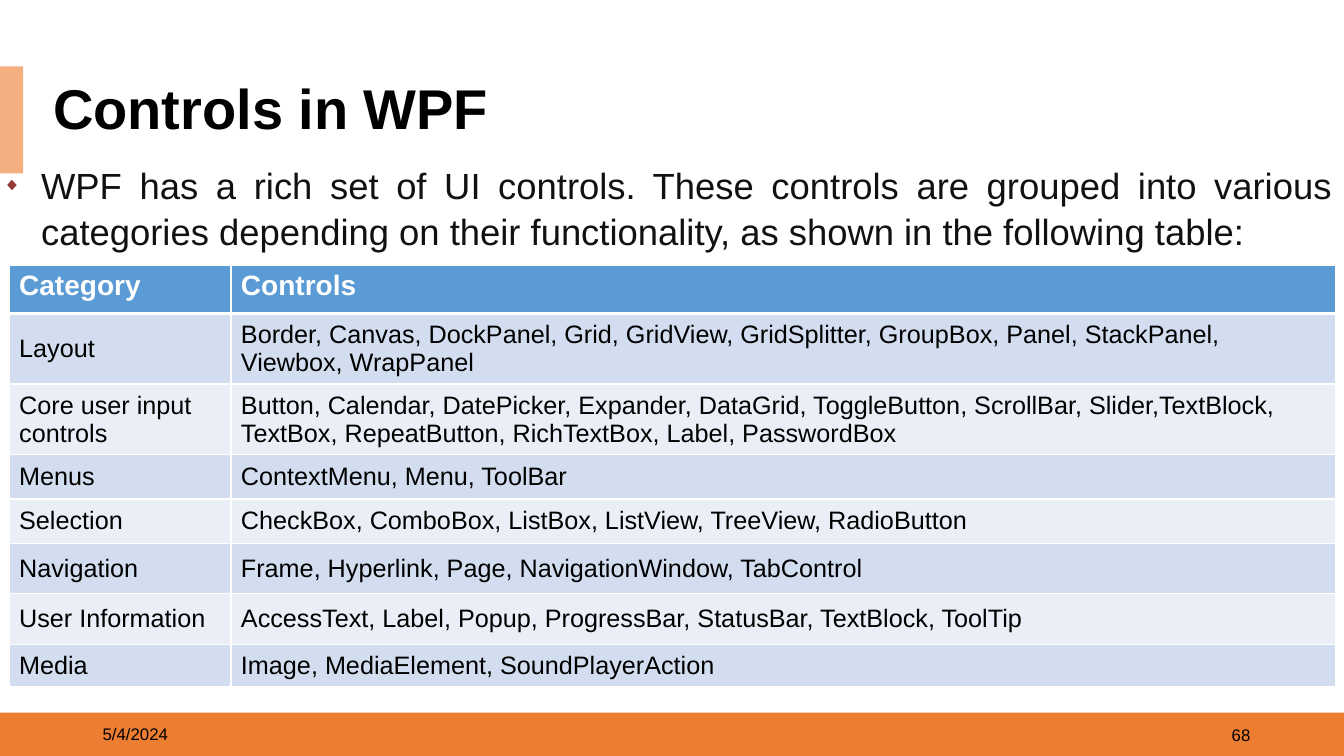
from lxml.etree import SubElement
from pptx import Presentation
from pptx.dml.color import RGBColor
from pptx.enum.shapes import MSO_SHAPE
from pptx.enum.text import MSO_ANCHOR, PP_ALIGN
from pptx.oxml.ns import qn
from pptx.util import Inches, Pt

FONT = "Arial"
WHITE = RGBColor(0xFF, 0xFF, 0xFF)
BLACK = RGBColor(0x00, 0x00, 0x00)
BODY = RGBColor(0x11, 0x11, 0x11)
BULLET = RGBColor(0x97, 0x37, 0x35)
ORANGE = RGBColor(0xED, 0x7D, 0x31)
LIGHT_ORANGE = RGBColor(0xF4, 0xAF, 0x80)
HEADER = RGBColor(0x5B, 0x9B, 0xD5)
BANDS = (RGBColor(0xD2, 0xDE, 0xEF), RGBColor(0xEA, 0xEF, 0xF7))

COLUMN_WIDTHS = (2.2, 10.96)
ROW_HEIGHTS = (0.48, 0.7, 0.7, 0.44, 0.44, 0.5, 0.5, 0.42)
CONTROLS = (
    ("Category", "Controls"),
    ("Layout", "Border, Canvas, DockPanel, Grid, GridView, GridSplitter, "
               "GroupBox, Panel, StackPanel, Viewbox, WrapPanel"),
    ("Core user input controls",
     "Button, Calendar, DatePicker, Expander, DataGrid, ToggleButton, "
     "ScrollBar, Slider,TextBlock, TextBox, RepeatButton, RichTextBox, "
     "Label, PasswordBox"),
    ("Menus", "ContextMenu, Menu, ToolBar"),
    ("Selection", "CheckBox, ComboBox, ListBox, ListView, TreeView, RadioButton"),
    ("Navigation", "Frame, Hyperlink, Page, NavigationWindow, TabControl"),
    ("User Information",
     "AccessText, Label, Popup, ProgressBar, StatusBar, TextBlock, ToolTip"),
    ("Media", "Image, MediaElement, SoundPlayerAction"),
)


def write_text(text_frame, text, size, color, bold=False):
    text_frame.text = text
    paragraph = text_frame.paragraphs[0]
    font = paragraph.runs[0].font
    font.name, font.size, font.bold = FONT, Pt(size), bold
    font.color.rgb = color
    return paragraph


def add_text(slide, box, text, size, color, bold=False, anchor=MSO_ANCHOR.MIDDLE):
    shape = slide.shapes.add_textbox(*map(Inches, box))
    text_frame = shape.text_frame
    text_frame.word_wrap = True
    text_frame.vertical_anchor = anchor
    return write_text(text_frame, text, size, color, bold)


def add_block(slide, box, color):
    shape = slide.shapes.add_shape(MSO_SHAPE.RECTANGLE, *map(Inches, box))
    shape.shadow.inherit = False
    shape.fill.solid()
    shape.fill.fore_color.rgb = color
    shape.line.fill.background()


def add_footer(slide, left, top, width, height):
    add_block(slide, (left, top, width, height), ORANGE)
    add_text(slide, (left + 0.92, top + 0.01, 3, 0.4), "5/4/2024", 12, BLACK)
    number = add_text(slide, (left + 9.5, top + 0.02, 3, 0.4), "68", 12, BLACK)
    number.alignment = PP_ALIGN.RIGHT


def add_title(slide, left, top, width, height):
    add_block(slide, (left, top, 0.23, height), LIGHT_ORANGE)
    title = add_text(slide, (left + 0.43, top + 0.13, width - 1.13, 0.63),
                     "Controls in WPF", 40, BLACK, bold=True)
    title.line_spacing = 0.9


def add_introduction(slide, left, top, width, height):
    paragraph = add_text(
        slide, (left, top, width, height),
        "WPF has a rich set of UI controls. These controls are grouped into various "
        "categories depending on their functionality, as shown in the following table:",
        26, BODY, anchor=MSO_ANCHOR.TOP)
    paragraph.alignment = PP_ALIGN.JUSTIFY
    paragraph.line_spacing = 1.05
    properties = paragraph._p.get_or_add_pPr()
    properties.set("marL", str(Inches(0.38)))
    properties.set("indent", str(Inches(-0.38)))
    bullet_color = SubElement(properties, qn("a:buClr"))
    SubElement(bullet_color, qn("a:srgbClr"), val=str(BULLET))
    SubElement(properties, qn("a:buSzPct"), val="50000")
    SubElement(properties, qn("a:buFont"), typeface=FONT)
    SubElement(properties, qn("a:buChar"), char="◆")


def set_borders(cell, bottom_width):
    properties = cell._tc.get_or_add_tcPr()
    widths = {"a:lnL": 1, "a:lnR": 1, "a:lnT": 1, "a:lnB": bottom_width}
    for position, (tag, width) in enumerate(widths.items()):
        line = SubElement(properties, qn(tag), w=str(Pt(width)))
        fill = SubElement(line, qn("a:solidFill"))
        SubElement(fill, qn("a:srgbClr"), val=str(WHITE))
        properties.insert(position, line)


def add_controls_table(slide, left, top, width, height):
    table = slide.shapes.add_table(
        len(CONTROLS), len(COLUMN_WIDTHS),
        *map(Inches, (left, top, width, height))).table
    for column, column_width in zip(table.columns, COLUMN_WIDTHS):
        column.width = Inches(column_width)
    for index, (row, texts) in enumerate(zip(table.rows, CONTROLS)):
        row.height = Inches(ROW_HEIGHTS[index])
        header = index == 0
        for cell, text in zip(row.cells, texts):
            cell.fill.solid()
            cell.fill.fore_color.rgb = HEADER if header else BANDS[(index - 1) % 2]
            cell.vertical_anchor = MSO_ANCHOR.TOP if header else MSO_ANCHOR.MIDDLE
            write_text(cell.text_frame, text, 20 if header else 18,
                       WHITE if header else BLACK, header)
            set_borders(cell, 3 if header else 1)


def main():
    presentation = Presentation()
    presentation.slide_width = Inches(13.33)
    presentation.slide_height = Inches(7.5)
    slide = presentation.slides.add_slide(presentation.slide_layouts[6])
    add_footer(slide, 0, 7.07, 13.33, 0.43)
    add_title(slide, 0, 0.66, 13.33, 1.06)
    add_introduction(slide, -0.07, 1.55, 13.4, 0.98)
    add_controls_table(slide, 0.09, 2.63, sum(COLUMN_WIDTHS), sum(ROW_HEIGHTS))
    presentation.save("out.pptx")


if __name__ == "__main__":
    main()
